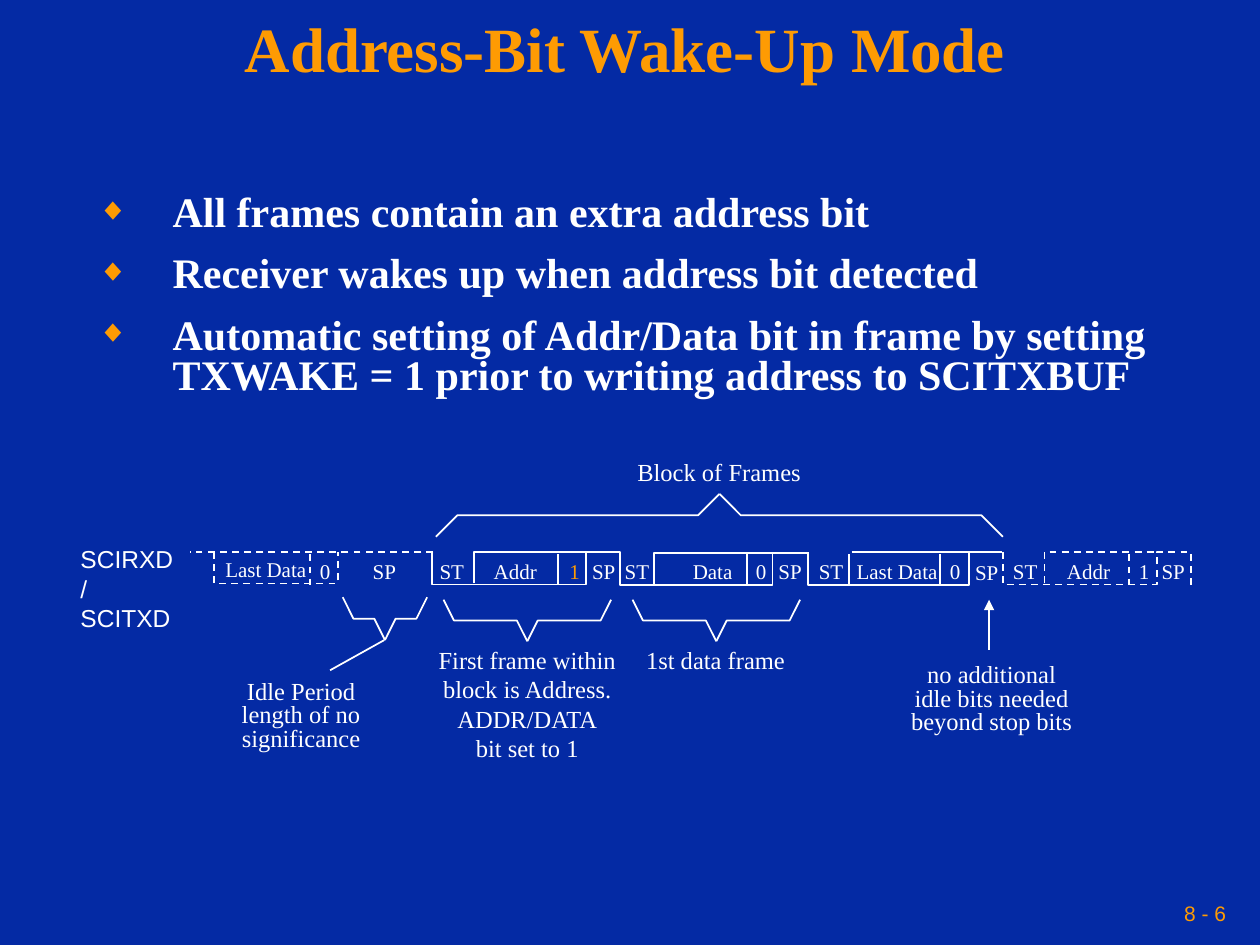
from lxml import etree
from pptx import Presentation
from pptx.dml.color import RGBColor
from pptx.enum.dml import MSO_LINE
from pptx.enum.shapes import MSO_CONNECTOR
from pptx.enum.text import MSO_ANCHOR, MSO_AUTO_SIZE, PP_ALIGN
from pptx.oxml.ns import qn
from pptx.util import Inches, Pt

LEFT, MID, RIGHT = PP_ALIGN.LEFT, PP_ALIGN.CENTER, PP_ALIGN.RIGHT
TOP, CENTER = MSO_ANCHOR.TOP, MSO_ANCHOR.MIDDLE
DASH, LINE = MSO_LINE.DASH, MSO_CONNECTOR.STRAIGHT
FIXED = MSO_AUTO_SIZE.NONE

COLORS = {"back": "042AA4", "gold": "FE9B03", "white": "FFFFFF"}
SERIF, SANS = "Times New Roman", "Arial"
FONTS = {
    "title": {"name": SERIF, "size": Pt(36), "bold": True},
    "body": {"name": SERIF, "size": Pt(24), "bold": True},
    "bit": {"name": SERIF, "size": Pt(12)},
    "note": {"name": SERIF, "size": Pt(14)},
    "pin": {"name": SANS, "size": Pt(14)},
    "page": {"name": SANS, "size": Pt(12)},
}
COLS, ROWS = 100, 75


class Deck:
    """Holds the style and the slide; lengths are grid columns and rows."""

    def __init__(self):
        self.prs = Presentation()
        self.prs.slide_width, self.prs.slide_height = Inches(10), Inches(7.5)
        self.slide = self.prs.slides.add_slide(self.prs.slide_layouts[1])
        self.shapes = self.slide.shapes
        fill = self.slide.background.fill
        fill.solid()
        fill.fore_color.rgb = self.color("back")

    def color(self, key):
        return RGBColor.from_string(COLORS[key])

    def x(self, col):
        return round(self.prs.slide_width * col / COLS)

    def y(self, row):
        return round(self.prs.slide_height * row / ROWS)

    def label(self, shape, lines, font, color="white", align=LEFT,
              anchor=TOP, space=None, gap=0, wrap=False):
        frame = shape.text_frame
        form = {"auto_size": FIXED, "word_wrap": wrap, "vertical_anchor": anchor}
        for key, val in form.items():
            setattr(frame, key, val)
        frame.text = "\n".join(lines)
        for i, para in enumerate(frame.paragraphs):
            form = {"alignment": align, "line_spacing": space,
                    "space_before": Pt(gap if i else 0)}
            for key, val in form.items():
                setattr(para, key, val)
            for run in para.runs:
                for key, val in FONTS[font].items():
                    setattr(run.font, key, val)
                run.font.color.rgb = self.color(color)

    def place(self, shape, left, top, width, height):
        form = {"left": self.x(left), "top": self.y(top),
                "width": self.x(width), "height": self.y(height)}
        for key, val in form.items():
            setattr(shape, key, val)

    def title(self, text, *box):
        shape = self.shapes.title
        self.place(shape, *box)
        self.label(shape, [text], "title", "gold", MID, CENTER, 0.9, wrap=True)

    def list(self, lines, *box):
        shape = self.slide.placeholders[1]
        self.place(shape, *box)
        self.label(shape, lines, "body", space=0.8, gap=12, wrap=True)
        for para in shape.text_frame.paragraphs:
            props = para._p.get_or_add_pPr()
            props.set("marL", str(Inches(0.6)))
            props.set("indent", str(-Inches(0.6)))
            tint = etree.SubElement(props, qn("a:buClr"))
            etree.SubElement(tint, qn("a:srgbClr"), val=COLORS["gold"])
            etree.SubElement(props, qn("a:buSzPct"), val="75000")
            etree.SubElement(props, qn("a:buChar"), char="◆")

    def text(self, lines, font, left, top, width, height, **form):
        shape = self.shapes.add_textbox(self.x(left), self.y(top),
                                        self.x(width), self.y(height))
        self.label(shape, lines, font, **form)

    def pen(self, shape, dash):
        shape.line.color.rgb = self.color("white")
        shape.line.width = Pt(1)
        if dash:
            shape.line.dash_style = DASH

    def trace(self, points, dash=False):
        spots = [(self.x(col), self.y(row)) for col, row in points]
        form = self.shapes.build_freeform(*spots[0], scale=1.0)
        form.add_line_segments(spots[1:], close=False)
        shape = form.convert_to_shape()
        shape.shadow.inherit = False
        shape.fill.background()
        self.pen(shape, dash)

    def line(self, x1, y1, x2, y2, dash=False, arrow=False):
        wire = self.shapes.add_connector(LINE, self.x(x1), self.y(y1),
                                         self.x(x2), self.y(y2))
        self.pen(wire, dash)
        props = wire._element.spPr
        if arrow:
            etree.SubElement(props.find(qn("a:ln")), qn("a:headEnd"),
                             type="triangle")
        etree.SubElement(props, qn("a:effectLst"))

    def brace(self, left, right, edge, tip, bend):
        """Two mirrored halves that meet at the tip."""
        mid, bar = (left + right) / 2, (edge + tip) / 2
        for end, step in ((left, bend), (right, -bend)):
            self.trace([(end, edge), (end + step, bar), (mid - step, bar),
                        (mid, tip)])


def main():
    deck = Deck()
    high, low = 43.8, 46.4

    # Title, list and page number
    deck.title("Address-Bit Wake-Up Mode", 0, 0, 99.2, 8.3)
    deck.list(["All frames contain an extra address bit",
               "Receiver wakes up when address bit detected",
               "Automatic setting of Addr/Data bit in frame by setting "
               "TXWAKE = 1 prior to writing address to SCITXBUF"],
              6.7, 15, 87.4, 24.3)
    deck.text(["8 - 6"], "page", 68.3, 70.8, 30, 3.3, color="gold",
              align=RIGHT, anchor=CENTER, wrap=True)

    # Address frames: the first solid, the next one dashed
    for left, dash in ((34.3, False), (79.6, True)):
        end = left + 12.2
        deck.trace([(left, high), (left, low), (end, low), (end, high),
                    (end + 2.7, high), (end + 2.7, low)], dash)
        deck.trace([(left + 3.3, 46.3), (left + 3.3, high), (end, high)], dash)

    # Data frames and the idle period
    deck.trace([(49.2, 46.1), (49.2, low), (51.9, low), (51.9, 43.9),
                (64.2, 43.9)])
    deck.trace([(51.9, low), (61.3, low), (61.3, 43.9)])
    deck.trace([(64.1, 43.9), (64.1, low), (76.9, low), (76.9, 43.9)])
    deck.trace([(17, high), (17, 46.3), (26.8, 46.3), (26.8, high)], True)
    deck.line(34.4, high, 15.1, high, dash=True)
    deck.line(67.6, high, 79.5, high)

    # Bit dividers
    for col, dash in ((24.6, True), (44.3, False), (59.3, False),
                      (67.4, False), (74.6, False), (89.6, True)):
        deck.line(col, 44, col, low, dash=dash)

    # Words in the frames: text, width, left edges
    for word, width, cols in (("ST", 3.9, (33.9, 48.6, 64, 79.4)),
                              ("SP", 3.8, (28.6, 46, 60.8, 91.2)),
                              ("Addr", 5.4, (38.2, 83.7)),
                              ("Data", 5.1, (54,)),
                              ("Last Data", 8.4, (67,)),
                              ("0", 2.8, (24.4, 59, 74.4)),
                              ("1", 2.8, (89.4,))):
        for col in cols:
            deck.text([word], "bit", col, 43.8, width, 3)
    deck.text(["Last Data"], "bit", 16.9, 43.7, 8.4, 3)
    deck.text(["SP"], "bit", 76.4, 43.9, 3.8, 3)
    deck.text(["1"], "bit", 44.2, 43.8, 2.8, 3, color="gold")

    # Braces, pointer and arrow
    for brace in ((27.2, 33.9, 47.4, 50.8, 0.85),
                  (35.2, 48.5, 47.6, 50.9, 0.83),
                  (50.2, 63.5, 47.6, 50.9, 0.83),
                  (34.6, 79.6, 42.6, 39.2, 1.7)):
        deck.brace(*brace)
    deck.line(30.5, 50.8, 26.2, 53.2)
    deck.line(78.5, 47.6, 78.5, 51.6, arrow=True)

    # Labels
    deck.text(["SCIRXD/", "SCITXD"], "pin", 5.4, 42.7, 9.5, 5.6, wrap=True)
    deck.text(["Block of Frames"], "note", 49.6, 35.8, 15, 3.3)
    deck.text(["1st data frame"], "note", 50.3, 50.7, 13, 3.3, align=MID)
    deck.text(["First frame within", "block is Address.", "ADDR/DATA",
               "bit set to 1"], "note", 33.8, 50.7, 16.1, 10.3, align=MID)
    deck.text(["Idle Period", "length of no", "significance"], "note",
              18.2, 53.6, 11.4, 6.6, align=MID, space=0.8)
    deck.text(["no additional", "idle bits needed", "beyond stop bits"], "note",
              71.3, 52.3, 14.8, 6.6, align=MID, space=0.8)

    deck.prs.save("out.pptx")


if __name__ == "__main__":
    main()
